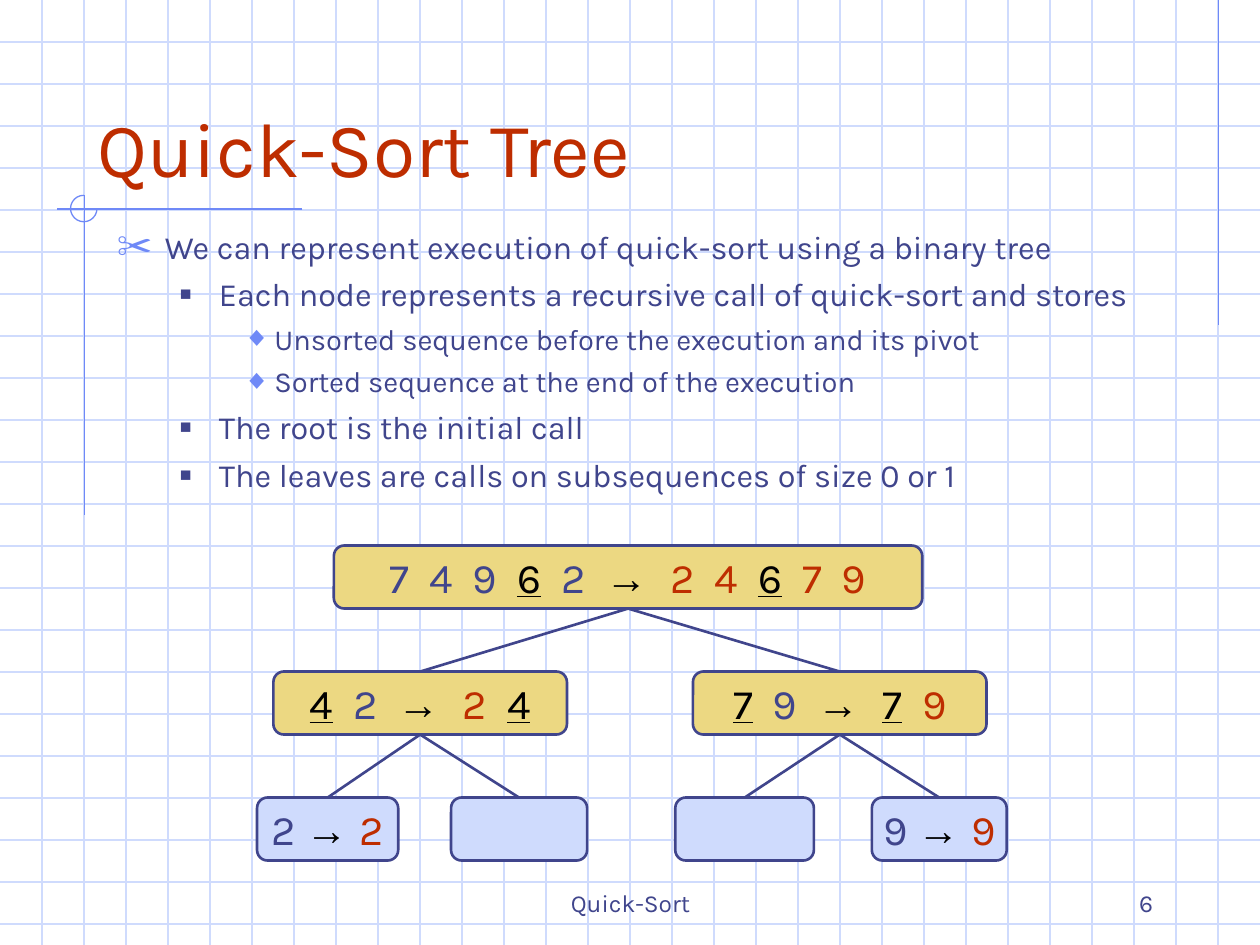
"""Build the Quick-Sort Tree slide: an outline above a binary recursion tree."""
from typing import NamedTuple

from lxml.etree import SubElement
from pptx import Presentation
from pptx.dml.color import RGBColor
from pptx.enum.shapes import MSO_CONNECTOR as Connector, MSO_SHAPE as Preset
from pptx.enum.text import MSO_ANCHOR as Anchor, MSO_AUTO_SIZE as AutoSize, PP_ALIGN as Align
from pptx.oxml.ns import qn
from pptx.util import Inches, Pt

WIDTH, HEIGHT, GRID_STEP = 10, 7.5, 1 / 3
INDIGO, RED, BLACK = "40458C", "BE2D00", "000000"
SKY, PALE, GOLD = "6F89F7", "CFDBFD", "ECD882"
FONT, SYMBOL_FONT = "Karla", "Arial"
TOP, BOTTOM = 0, 2


class Style(NamedTuple):
    color: str
    font: str = FONT
    bold: bool = False
    underline: bool = False


class Level(NamedTuple):
    bullet: str
    bullet_color: str
    bullet_percent: int
    left: float
    hanging: float
    size: float
    space_before: float


class Node(NamedTuple):
    left: float
    top: float
    width: float
    fill: str
    parent: int | None
    runs: tuple = ()


BEFORE, AFTER = Style(INDIGO), Style(RED)
PIVOT = Style(BLACK, underline=True)
ARROW = Style(BLACK, SYMBOL_FONT, bold=True)

LEVELS = (
    Level("✂", SKY, 110, 0.38, 0.38, 18.5, 5),
    Level("■", INDIGO, 60, 0.81, 0.31, 18.5, 5),
    Level("◆", SKY, 95, 1.25, 0.25, 16.6, 4.5),
)
OUTLINE = (
    (0, "We can represent execution of quick-sort using a binary tree"),
    (1, "Each node represents a recursive call of quick-sort and stores"),
    (2, "Unsorted sequence before the execution and its pivot"),
    (2, "Sorted sequence at the end of the execution"),
    (1, "The root is the initial call"),
    (1, "The leaves are calls on subsequences of size 0 or 1"),
)
NODES = (
    Node(2.65, 4.33, 4.67, GOLD, None, (
        ("7  4  9  ", BEFORE), ("6", PIVOT), ("  2  ", BEFORE), ("→  ", ARROW),
        ("2  4  ", AFTER), ("6", PIVOT), ("  7  9", AFTER))),
    Node(2.17, 5.33, 2.33, GOLD, 0, (
        ("4", PIVOT), ("  2  ", BEFORE), ("→  ", ARROW), ("2  ", AFTER), ("4", PIVOT))),
    Node(5.5, 5.33, 2.33, GOLD, 0, (
        ("7", PIVOT), ("  9  ", BEFORE), ("→  ", ARROW), ("7", PIVOT), ("  9", AFTER))),
    Node(2.04, 6.33, 1.12, PALE, 1, (("2 ", BEFORE), ("→ ", ARROW), ("2", AFTER))),
    Node(3.58, 6.33, 1.08, PALE, 1),
    Node(5.36, 6.33, 1.1, PALE, 2),
    Node(6.92, 6.33, 1.07, PALE, 2, (("9 ", BEFORE), ("→ ", ARROW), ("9", AFTER))),
)


def rgb(value: str) -> RGBColor:
    return RGBColor.from_string(value)


def add_run(paragraph, text: str, size: float, style: Style) -> None:
    run = paragraph.add_run()
    run.text = text
    run.font.name, run.font.size = style.font, Pt(size)
    run.font.bold, run.font.underline = style.bold, style.underline
    run.font.color.rgb = rgb(style.color)


def add_line(slide, start: tuple, end: tuple, color: str, weight: float = 0.75):
    ends = (Inches(value) for value in (*start, *end))
    line = slide.shapes.add_connector(Connector.STRAIGHT, *ends)
    line.line.color.rgb, line.line.width = rgb(color), Pt(weight)
    SubElement(line.element.spPr, qn("a:effectLst"))
    return line


def add_background(slide) -> None:
    for row in range(1, int(HEIGHT / GRID_STEP) + 1):
        add_line(slide, (0, row * GRID_STEP), (WIDTH, row * GRID_STEP), PALE)
    for column in range(1, round(WIDTH / GRID_STEP)):
        add_line(slide, (column * GRID_STEP, 0), (column * GRID_STEP, HEIGHT), PALE)
    add_line(slide, (9.67, 0), (9.67, 2.58), SKY)
    add_line(slide, (2.4, 1.66), (0.45, 1.66), SKY)
    add_line(slide, (0.67, 1.55), (0.67, 4.09), SKY)
    arc = slide.shapes.add_shape(
        Preset.ARC, Inches(0.56), Inches(1.55), Inches(0.21), Inches(0.21))
    arc.adjustments[0], arc.adjustments[1] = 0, 162
    arc.fill.background()
    arc.line.color.rgb, arc.line.width = rgb(SKY), Pt(0.75)
    arc.shadow.inherit = False


def format_title(slide, text: str) -> None:
    title = slide.shapes.title
    title.element.getparent().append(title.element)
    title.left, title.top = Inches(0.67), Inches(0.33)
    title.width, title.height = Inches(8.5), Inches(1.25)
    frame = title.text_frame
    frame.auto_size, frame.vertical_anchor = AutoSize.NONE, Anchor.BOTTOM
    paragraph = frame.paragraphs[0]
    paragraph.alignment = Align.LEFT
    add_run(paragraph, text, 44, AFTER)


def add_text_frame(slide, left: float, top: float, width: float, height: float):
    box = slide.shapes.add_textbox(Inches(left), Inches(top), Inches(width), Inches(height))
    box.text_frame.word_wrap = True
    return box.text_frame


def add_footer(slide, left: float, width: float, text: str, alignment: Align) -> None:
    frame = add_text_frame(slide, left, 6.83, width, 0.5)
    frame.vertical_anchor = Anchor.BOTTOM
    frame.paragraphs[0].alignment = alignment
    add_run(frame.paragraphs[0], text, 14, BEFORE)


def set_bullet(paragraph, level: Level) -> None:
    properties = paragraph._p.get_or_add_pPr()
    properties.set("marL", str(Inches(level.left)))
    properties.set("indent", str(-Inches(level.hanging)))
    color = SubElement(properties, qn("a:buClr"))
    SubElement(color, qn("a:srgbClr"), val=level.bullet_color)
    SubElement(properties, qn("a:buSzPct"), val=str(level.bullet_percent * 1000))
    SubElement(properties, qn("a:buFont"), typeface=SYMBOL_FONT)
    SubElement(properties, qn("a:buChar"), char=level.bullet)


def add_outline(slide) -> None:
    frame = add_text_frame(slide, 0.83, 1.75, 8.67, 2.5)
    for index, (depth, text) in enumerate(OUTLINE):
        paragraph = frame.add_paragraph() if index else frame.paragraphs[0]
        level = LEVELS[depth]
        paragraph.level, paragraph.space_before = depth, Pt(level.space_before)
        set_bullet(paragraph, level)
        add_run(paragraph, text, level.size, BEFORE)


def add_node(slide, node: Node):
    box = slide.shapes.add_shape(
        Preset.ROUNDED_RECTANGLE,
        Inches(node.left), Inches(node.top), Inches(node.width), Inches(0.5))
    box.shadow.inherit = False
    box.fill.solid()
    box.fill.fore_color.rgb = rgb(node.fill)
    box.line.color.rgb, box.line.width = rgb(INDIGO), Pt(1.5)
    frame = box.text_frame
    frame.word_wrap, frame.vertical_anchor = False, Anchor.MIDDLE
    frame.paragraphs[0].alignment = Align.CENTER
    for text, style in node.runs:
        add_run(frame.paragraphs[0], text, 24, style)
    return box


def add_tree(slide) -> None:
    boxes = [add_node(slide, node) for node in NODES]
    for node, box in zip(NODES, boxes):
        if node.parent is not None:
            edge = add_line(slide, (0, 0), (1, 1), INDIGO, 1.5)
            edge.begin_connect(box, TOP)
            edge.end_connect(boxes[node.parent], BOTTOM)


def main() -> None:
    presentation = Presentation()
    presentation.slide_width, presentation.slide_height = Inches(WIDTH), Inches(HEIGHT)
    slide = presentation.slides.add_slide(presentation.slide_layouts[5])
    add_background(slide)
    add_footer(slide, 3.42, 3.17, "Quick-Sort", Align.CENTER)
    add_footer(slide, 7.17, 2.08, "6", Align.RIGHT)
    format_title(slide, "Quick-Sort Tree")
    add_outline(slide)
    add_tree(slide)
    presentation.save("out.pptx")


if __name__ == "__main__":
    main()
